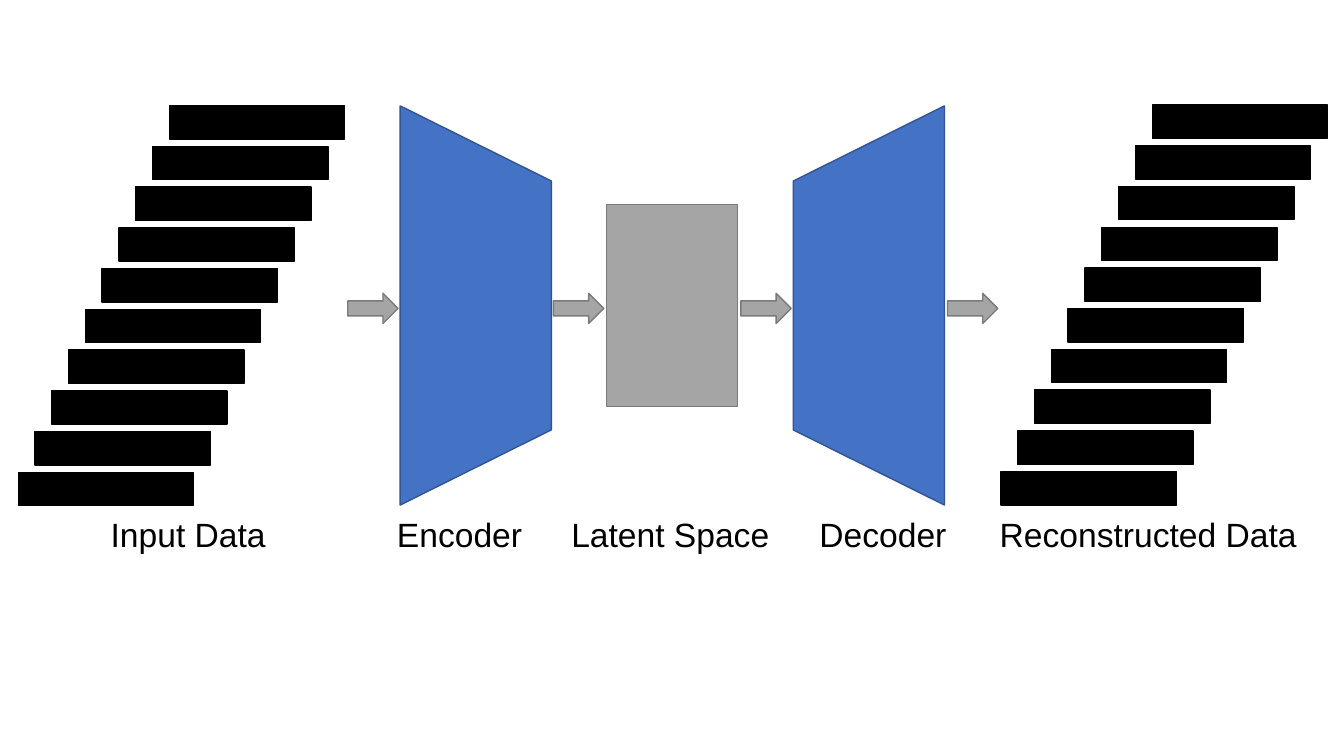
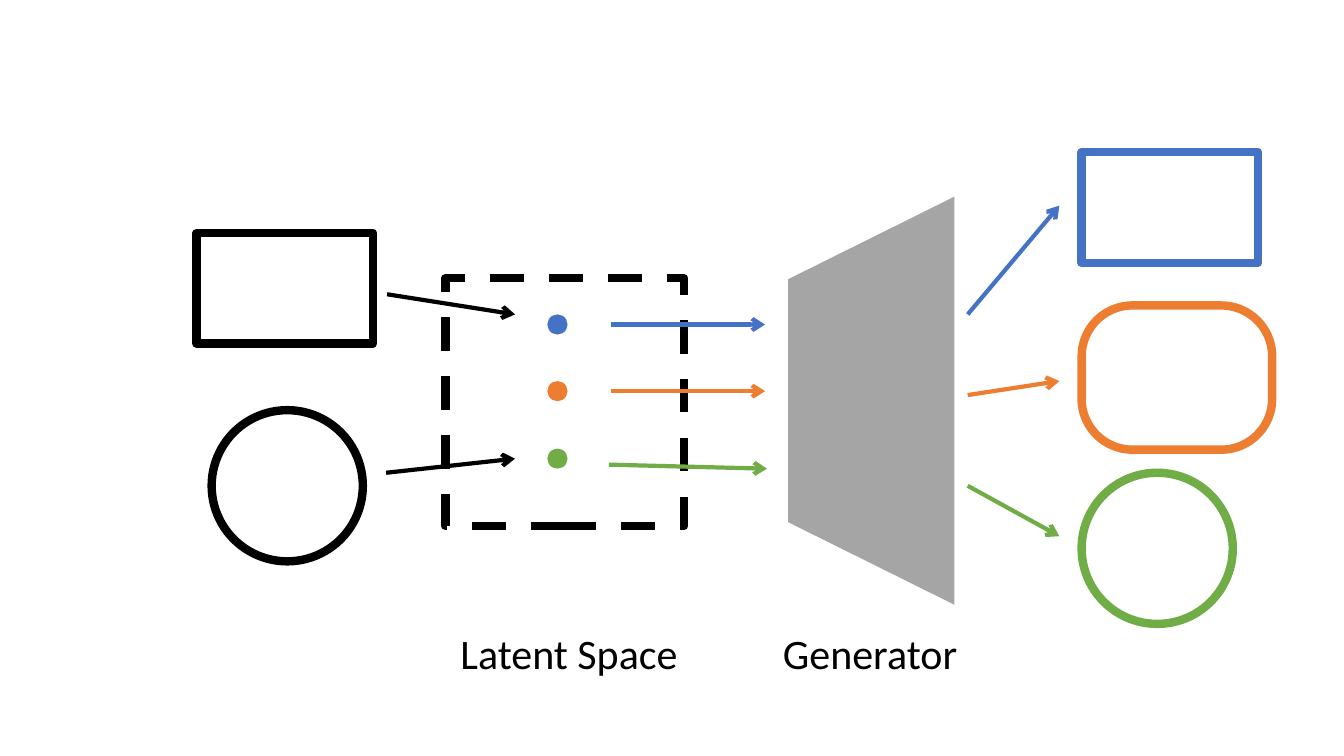
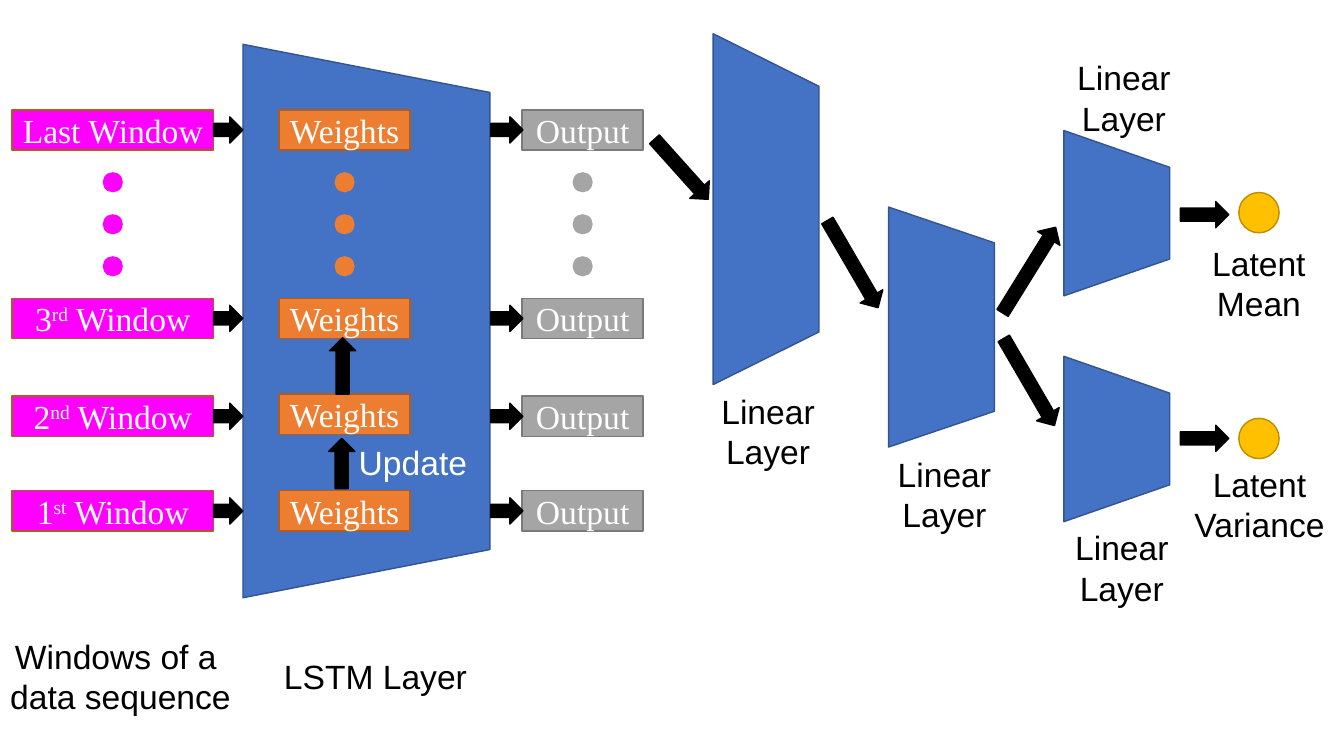
import pptx
import pptx.util
import pptx.dml.color
import pptx.enum.dml
import pptx.enum.shapes
import pptx.enum.text
import lxml.etree

Pt = pptx.util.Pt
Kind = pptx.enum.shapes.MSO_SHAPE
Align = pptx.enum.text.PP_ALIGN
hues = {
    "black": "000000", "white": "FFFFFF", "gray": "A5A5A5", "ash": "7A7A7A",
    "blue": "4472C4", "navy": "325491", "orange": "ED7D31", "brown": "AF5C24",
    "green": "70AD47", "pink": "FF00FF", "gold": "FFC000", "bronze": "BD8E00",
}
tints = {name: pptx.dml.color.RGBColor.from_string(code) for name, code in hues.items()}


def draw(slide, kind, x, y, w, h, fill=None, edge=None, thick=1, turn=0, bend=None):
    shape = slide.shapes.add_shape(kind, Pt(x), Pt(y), Pt(w), Pt(h))
    shape.shadow.inherit = False
    shape.rotation = turn
    if bend is not None:
        shape.adjustments[0] = bend
    if fill:
        shape.fill.solid()
        shape.fill.fore_color.rgb = tints[fill]
    else:
        shape.fill.background()
    if edge:
        shape.line.color.rgb = tints[edge]
        shape.line.width = Pt(thick)
    else:
        shape.line.fill.background()
    return shape


def label(slide, x, y, w, words, face="Arial", size=24, tint="black"):
    lines = words.split("\n")
    box = slide.shapes.add_textbox(Pt(x), Pt(y), Pt(w), Pt(7.2 + 1.2 * size * len(lines)))
    frame = box.text_frame
    frame.word_wrap = False
    frame.auto_size = pptx.enum.text.MSO_AUTO_SIZE.SHAPE_TO_FIT_TEXT
    frame.text = words
    for para in frame.paragraphs:
        para.alignment = Align.CENTER if len(lines) > 1 else Align.LEFT
        para.font.name = face
        para.font.size = Pt(size)
        para.font.color.rgb = tints[tint]


deck = pptx.Presentation()
deck.slide_width = Pt(960)
deck.slide_height = Pt(540)
blank = deck.slide_layouts[6]

slide = deck.slides.add_slide(blank)
for x, y in [(121, 75.5), (823, 75)]:
    for step in range(10):
        draw(slide, Kind.RECTANGLE, x - 12 * step, y + 29.1 * step, 125.2, 23.8, "black", "black")
for x, turn in [(197.3, 90), (478.1, 270)]:
    draw(slide, Kind.TRAPEZOID, x, 164.2, 285.1, 108, "blue", "navy", turn=turn, bend=0.497)
draw(slide, Kind.RECTANGLE, 433.4, 146.2, 93.6, 144, "gray", "ash")
for x in [248.4, 395.3, 529.2, 676.8]:
    draw(slide, Kind.RIGHT_ARROW, x, 209.5, 36, 21.6, "gray", "ash")
for x, w, words in [
    (72, 126.7, "Input Data"),
    (276.5, 105.1, "Encoder"),
    (401, 157.7, "Latent Space"),
    (578.2, 106.6, "Decoder"),
    (707, 229, "Reconstructed Data"),
]:
    label(slide, x, 363.6, w, words)

slide = deck.slides.add_slide(blank)
latent = draw(slide, Kind.RECTANGLE, 318.2, 198.7, 170.6, 177.1, None, "black", 6)
latent.line.dash_style = pptx.enum.dml.MSO_LINE.DASH
draw(slide, Kind.TRAPEZOID, 476.6, 226.8, 291.6, 118.8, "gray", turn=270, bend=0.497)
for kind, x, y, w, h, edge, bend in [
    (Kind.RECTANGLE, 140.4, 166.3, 126, 79.2, "black", None),
    (Kind.OVAL, 151.2, 293, 108, 108, "black", None),
    (Kind.RECTANGLE, 772.6, 108.7, 126, 79.2, "blue", None),
    (Kind.ROUNDED_RECTANGLE, 772.6, 218.2, 136.1, 103, "orange", 0.353),
    (Kind.OVAL, 772.6, 337.7, 108, 108, "green", None),
]:
    draw(slide, kind, x, y, w, h, None, edge, 6, bend=bend)
for y, fill in [(224.6, "blue"), (272.2, "orange"), (320.4, "green")]:
    draw(slide, Kind.OVAL, 391, y, 14.4, 14.4, fill)
for *ends, tint in [
    (276.5, 210.2, 367.9, 224.6, "black"),
    (275.8, 337.7, 367.9, 327.6, "black"),
    (436.3, 231.8, 546.5, 231.8, "blue"),
    (436.3, 279.4, 546.5, 279.4, "orange"),
    (434.9, 331.9, 547.9, 334.8, "green"),
    (691.2, 224.6, 756.7, 146.9, "blue"),
    (691.2, 282.2, 756.7, 272.2, "orange"),
    (691.2, 347, 756.7, 383, "green"),
]:
    arrow = slide.shapes.add_connector(
        pptx.enum.shapes.MSO_CONNECTOR.STRAIGHT, *[Pt(end) for end in ends])
    arrow.line.color.rgb = tints[tint]
    arrow.line.width = Pt(3)
    stroke = arrow.line._get_or_add_ln()
    space = stroke.nsmap["a"]
    lxml.etree.SubElement(stroke, f"{{{space}}}tailEnd", type="arrow")
    lxml.etree.SubElement(arrow._element.spPr, f"{{{space}}}effectLst")
for x, w, words in [(321.8, 170.6, "Latent Space"), (552.2, 140.4, "Generator")]:
    label(slide, x, 445, w, words, "Calibri", 30)

slide = deck.slides.add_slide(blank)
for x, y, w, h, bend in [
    (64.1, 141.1, 395.3, 176.4, 0.195),
    (421.9, 111.6, 250.6, 75.6, 0.497),
    (586.8, 195.8, 171.4, 75.6, 0.338),
    (738.7, 114.5, 118.1, 75.6, 0.348),
    (738.7, 275.8, 118.1, 75.6, 0.348),
]:
    draw(slide, Kind.TRAPEZOID, x, y, w, h, "blue", "navy", turn=90, bend=bend)
for y, mid, title in [
    (78.5, 78.5, "Last Window"),
    (213.1, 213.1, "3^rd^ Window"),
    (283, 281.5, "2^nd^ Window"),
    (350.6, 350.6, "1^st^ Window"),
]:
    for x, top, w, fill, edge, words in [
        (8.6, y, 144, "pink", "brown", title),
        (199.4, mid, 93.6, "orange", "brown", "Weights"),
        (373, y, 86.4, "gray", "ash", "Output"),
    ]:
        cell = draw(slide, Kind.RECTANGLE, x, top, w, 28.8, fill, edge)
        para = cell.text_frame.paragraphs[0]
        para.alignment = Align.CENTER
        para.font.name = "Times New Roman"
        para.font.size = Pt(24)
        para.font.color.rgb = tints["white"]
        for place, part in enumerate(words.split("^")):
            run = para.add_run()
            run.text = part
            if place == 1:
                run._r.get_or_add_rPr().set("baseline", "30000")
    for x, w in [(152.6, 20.9), (350.6, 23)]:
        draw(slide, Kind.RIGHT_ARROW, x, y + 5, w, 18.7, "black", "black")
for x, fill in [(73.4, "pink"), (239, "orange"), (409, "gray")]:
    for step in range(3):
        draw(slide, Kind.OVAL, x, 123 + 30 * step, 14.4, 14.4, fill)
for y in [137.5, 298.8]:
    draw(slide, Kind.OVAL, 884.9, y, 28.8, 28.8, "gold", "bronze")
for x, y, w, turn in [
    (226.1, 321.8, 36, 270),
    (224.6, 252, 40.3, 270),
    (457.9, 111.6, 57.6, 48.1),
    (573.1, 179.3, 72, 59.8),
    (699.1, 263.5, 72, 59.8),
    (699.1, 183.6, 72, 301.8),
    (843.1, 144, 34.6, 0),
    (843.1, 303.8, 34.6, 0),
]:
    draw(slide, Kind.RIGHT_ARROW, x, y, w, 18.7, "black", "black", turn=turn)
for x, y in [(507.6, 275.8), (633.6, 320.4), (760.3, 373), (761.8, 37.4)]:
    label(slide, x, y, 82.1, "Linear\nLayer")
label(slide, 858.2, 169.9, 82.1, "Latent\nMean")
label(slide, 845.3, 327.6, 108.7, "Latent\nVariance")
label(slide, -0.7, 450.7, 173.5, "Windows of a \ndata sequence")
label(slide, 195.8, 465.1, 146.9, "LSTM Layer")
label(slide, 249.1, 311.8, 92.9, "Update", tint="white")

deck.save("out.pptx")
